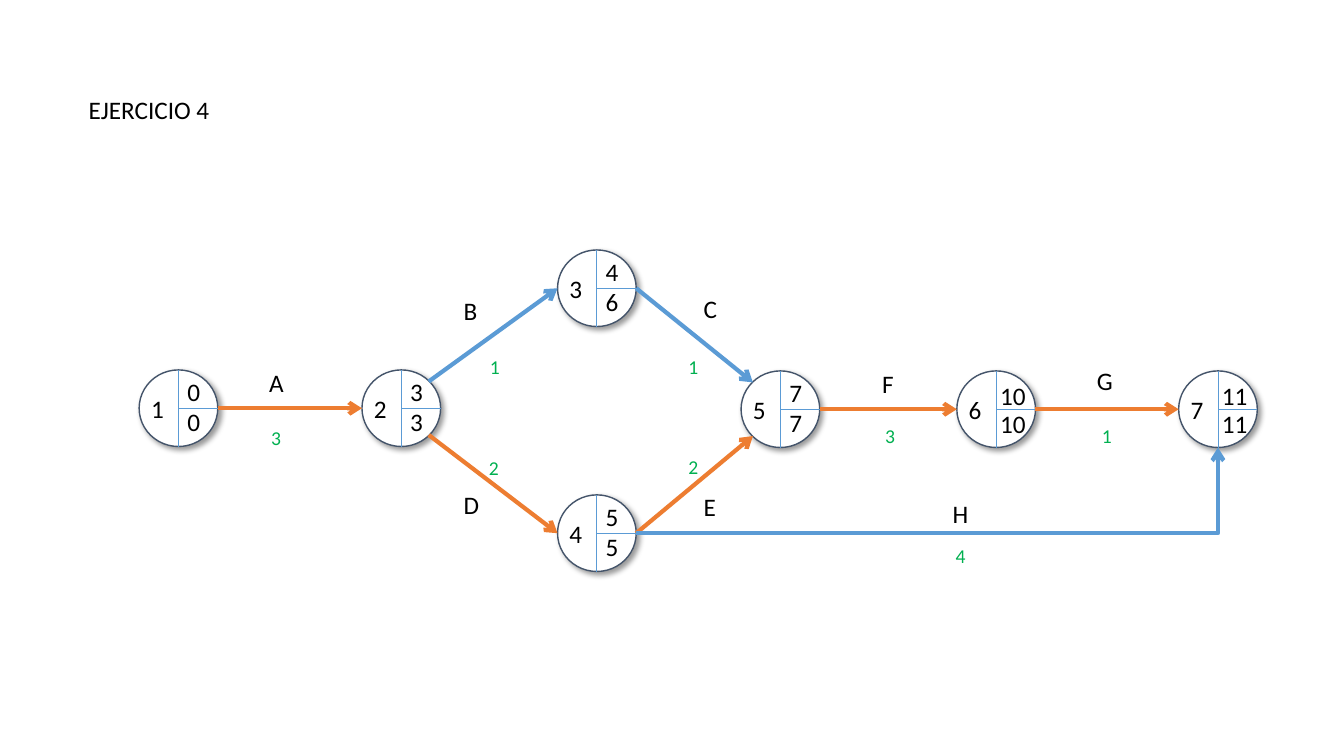
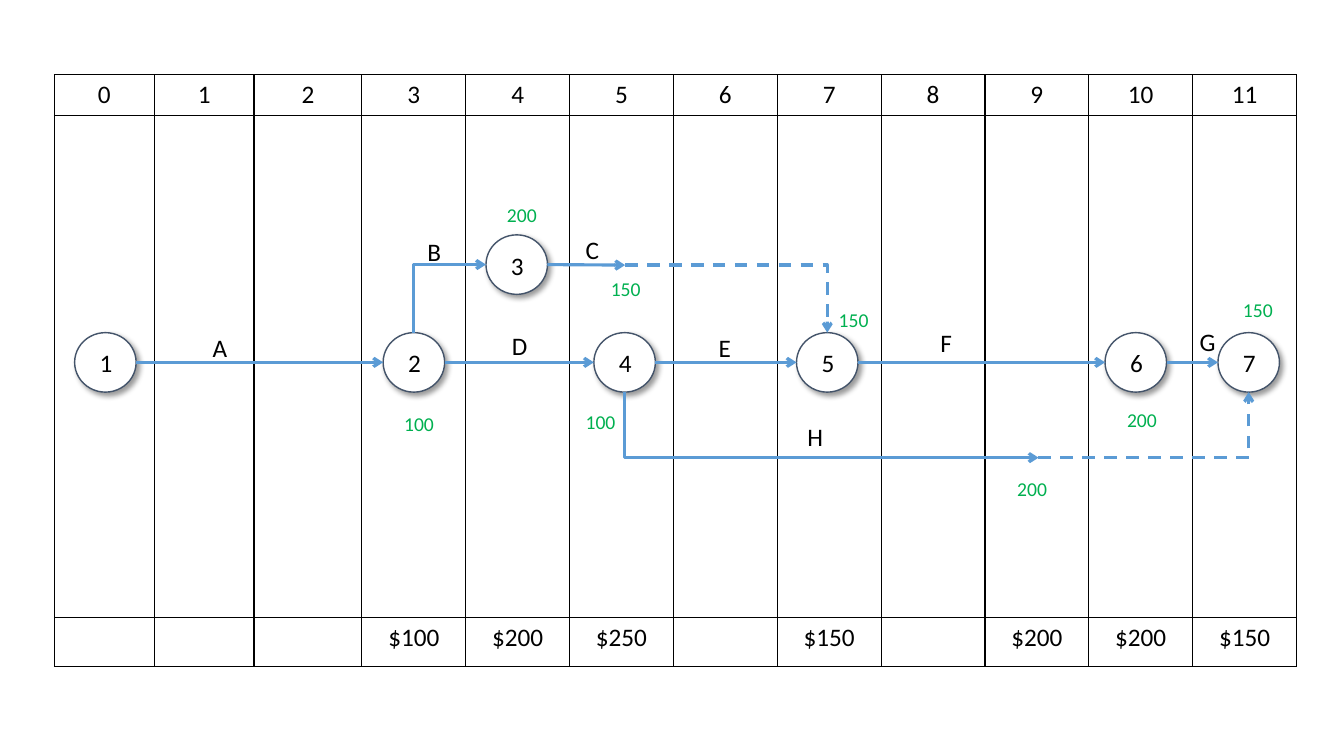
from lxml import etree
from pptx import Presentation
from pptx import util as u
from pptx.dml.color import RGBColor
from pptx.enum import dml, shapes, text
from pptx.oxml.ns import qn

COLORS = {"ink": "000000", "paper": "FFFFFF", "rim": "44546A",
          "blue": "5B9BD5", "critical": "ED7D31", "green": "00B050"}
FONT = "Calibri"
LETTER_EM = dict(A=.58, B=.54, C=.53, D=.62, E=.49, F=.46, G=.63, H=.62)
DIGIT_EM = .51
PORTS = {"left": (0, .5), "right": (1, .5), "top": (.5, 0), "bottom": (.5, 1),
         "ne": (.85, .15), "se": (.85, .85), "nw": (.15, .15), "sw": (.15, .85)}


def rgb(name):
    """Return a palette colour."""
    return RGBColor.from_string(COLORS[name])


def at(x, y):
    """Return a point given in inches."""
    return u.Inches(x), u.Inches(y)


def port(node, name):
    """Return the point on a node's rim where an arrow attaches."""
    across, down = PORTS[name]
    return (node.left + int(node.width * across),
            node.top + int(node.height * down))


def add_child(parent, tag, **attributes):
    """Append a DrawingML element and return it."""
    return etree.SubElement(parent, qn(tag), attributes)


class Diagram:
    """Shared network style and the slide being drawn."""

    def __init__(self, deck):
        self.deck = deck
        self.page = None

    def new_page(self):
        """Start a blank slide."""
        self.page = self.deck.slides.add_slide(self.deck.slide_layouts[6])

    def add_span(self, para, words, size=18, color="ink"):
        """Add one styled run to a paragraph."""
        span = para.add_run()
        span.text = words
        span.font.name = FONT
        span.font.size = u.Pt(size)
        span.font.color.rgb = rgb(color)

    def label(self, words, x, y, size=18, color="ink", width=None):
        """Place a single line of text, sized to its letters."""
        ems = sum(LETTER_EM.get(letter, DIGIT_EM) for letter in words)
        width = width or .2 + ems * size / 72
        box = self.page.shapes.add_textbox(
            *at(x, y), *at(width, .1 + size * 1.2 / 72))
        box.text_frame.word_wrap = False
        box.text_frame.auto_size = text.MSO_AUTO_SIZE.SHAPE_TO_FIT_TEXT
        self.add_span(box.text_frame.paragraphs[0], words, size, color)

    def labels(self, entries, **style):
        """Place several labels in one style."""
        for words, x, y in entries:
            self.label(words, x, y, **style)

    def circle(self, x, y, width, height):
        """Draw a white node with a soft shadow."""
        node = self.page.shapes.add_shape(
            shapes.MSO_SHAPE.OVAL, *at(x, y), *at(width, height))
        node.fill.solid()
        node.fill.fore_color.rgb = rgb("paper")
        node.line.color.rgb = rgb("rim")
        node.line.width = u.Pt(1)
        node.shadow.inherit = False
        effects = node._element.spPr.find(qn("a:effectLst"))
        shadow = add_child(effects, "a:outerShdw", blurRad=str(u.Pt(4)),
                           dist=str(u.Pt(3)), dir="2700000", algn="tl",
                           rotWithShape="0")
        shade = add_child(shadow, "a:srgbClr", val=COLORS["ink"])
        add_child(shade, "a:alpha", val="40000")
        return node

    def line(self, start, end, width, color="blue", arrow=False,
             dashed=False):
        """Draw a straight line between two points."""
        link = self.page.shapes.add_connector(
            shapes.MSO_CONNECTOR.STRAIGHT, *start, *end)
        link.line.color.rgb = rgb(color)
        link.line.width = u.Pt(width)
        if dashed:
            link.line.dash_style = dml.MSO_LINE.DASH
        frame = link._element.spPr
        if arrow:
            add_child(frame.find(qn("a:ln")), "a:tailEnd", type="arrow")
        add_child(frame, "a:effectLst")
        return link

    def elbow(self, start, end, width, upright=False, dashed=False):
        """Draw a one-corner arrow to the right; upright leaves vertically."""
        (x1, y1), (x2, y2) = start, end
        rising = y2 < y1
        if upright:
            middle_x, middle_y = (x1 + x2) // 2, (y1 + y2) // 2
            half_w = abs(y2 - y1) // 2
            half_h = (x2 - x1) // 2 * (1 if rising else -1)
            start = middle_x + half_w, middle_y + half_h
            end = middle_x - half_w, middle_y - half_h
        link = self.line(start, end, width, arrow=True, dashed=dashed)
        frame = link._element.spPr
        frame.find(qn("a:prstGeom")).set("prst", "bentConnector2")
        if upright:
            turn = 90 if rising else 270
            frame.find(qn("a:xfrm")).set("rot", str(turn * 60000))

    def event(self, number, x, y, early, late):
        """Draw a node split into number, early time and late time."""
        node = self.circle(x, y, .78, .76)
        self.line(port(node, "top"), port(node, "bottom"), .5)
        self.line(port(node, "right"), at(x + .39, y + .38), .5)
        self.label(number, x + .02, y + .18)
        wide = len(early) > 1
        left = x + (.33 if wide else .38)
        self.label(early, left, y + (.04 if wide else .01))
        self.label(late, left, y + (.32 if wide else .31))
        return node

    def milestone(self, number, x, y):
        """Draw a small numbered node."""
        node = self.circle(x, y, .61, .59)
        self.label(number, x + .15, y + .1)
        return node

    def table(self, x, y, widths, heights, rows):
        """Draw a clear table with thin black borders."""
        frame = self.page.shapes.add_table(
            len(heights), len(widths), *at(x, y),
            *at(sum(widths), sum(heights)))
        grid = frame.table
        grid.first_row = grid.horz_banding = False
        for column, width in zip(grid.columns, widths):
            column.width = u.Inches(width)
        for row, height in zip(grid.rows, heights):
            row.height = u.Inches(height)
        for row, values in zip(grid.rows, rows):
            for cell, value in zip(row.cells, values):
                self.border(cell)
                cell.fill.background()
                para = cell.text_frame.paragraphs[0]
                para.alignment = text.PP_ALIGN.CENTER
                if value:
                    self.add_span(para, value)

    def border(self, cell):
        """Give a cell four black edges."""
        properties = cell._tc.get_or_add_tcPr()
        for side in "LRTB":
            edge = add_child(properties, f"a:ln{side}", w=str(u.Pt(1)))
            paint = add_child(edge, "a:solidFill")
            add_child(paint, "a:srgbClr", val=COLORS["ink"])


def draw_network(diagram):
    """Draw the activity network with its critical route."""
    diagram.new_page()
    diagram.label("EJERCICIO 4", .78, .89, width=1.41)
    events = [("1", 1.38, 3.67, "0", "0"), ("2", 3.59, 3.67, "3", "3"),
              ("3", 5.53, 2.48, "4", "6"), ("4", 5.53, 4.91, "5", "5"),
              ("5", 7.35, 3.68, "7", "7"), ("6", 9.49, 3.68, "10", "10"),
              ("7", 11.69, 3.68, "11", "11")]
    nodes = {event[0]: diagram.event(*event) for event in events}
    links = [("1", "right", "2", "left", "critical"),
             ("2", "ne", "3", "left", "blue"),
             ("2", "se", "4", "left", "critical"),
             ("4", "right", "5", "sw", "critical"),
             ("3", "right", "5", "nw", "blue"),
             ("5", "right", "6", "left", "critical"),
             ("6", "right", "7", "left", "critical")]
    for origin, leave, target, enter, color in links:
        diagram.line(port(nodes[origin], leave), port(nodes[target], enter),
                     3, color, arrow=True)
    diagram.elbow(port(nodes["4"], "right"), port(nodes["7"], "bottom"), 3)
    diagram.labels([("A", 2.57, 3.59), ("B", 4.5, 2.88), ("C", 6.88, 2.86),
                    ("D", 4.5, 4.81), ("E", 6.88, 4.83), ("F", 8.65, 3.6),
                    ("G", 10.78, 3.58), ("H", 9.35, 4.89)])
    diagram.labels([("3", 2.59, 4.18), ("2", 4.75, 4.47), ("1", 4.76, 3.47),
                    ("1", 6.73, 3.47), ("2", 6.73, 4.46), ("4", 9.38, 5.35),
                    ("3", 8.68, 4.16), ("1", 10.83, 4.16)],
                   size=14, color="green")


def draw_schedule(diagram):
    """Draw the activities on a time grid with the cost per period."""
    diagram.new_page()
    costs = {3: "$100", 4: "$200", 5: "$250", 7: "$150",
             9: "$200", 10: "$200", 11: "$150"}
    periods = range(12)
    diagram.table(.54, .74, [.99, .99, 1.07] + [1.03] * 9, [.4, 4.98, .49],
                  [[str(period) for period in periods],
                   [""] * len(periods),
                   [costs.get(period, "") for period in periods]])
    lefts = [.74, 3.8, 4.82, 5.89, 7.9, 10.96, 12.08]
    nodes = {number: diagram.milestone(str(number), x,
                                       2.33 if number == 3 else 3.3)
             for number, x in enumerate(lefts, 1)}
    main_route = [1, 2, 4, 5, 6, 7]
    for origin, target in zip(main_route, main_route[1:]):
        diagram.line(port(nodes[origin], "right"),
                     port(nodes[target], "left"), 2.25, arrow=True)
    end_c, end_h = at(6.2, 2.63), at(10.3, 4.54)
    diagram.elbow(port(nodes[2], "top"), port(nodes[3], "left"), 2.25,
                  upright=True)
    diagram.line(port(nodes[3], "right"), end_c, 2.25, arrow=True)
    diagram.elbow(end_c, port(nodes[5], "top"), 2.25, dashed=True)
    diagram.elbow(port(nodes[4], "bottom"), end_h, 2.25, upright=True)
    diagram.elbow(end_h, port(nodes[7], "bottom"), 2.25, dashed=True)
    diagram.labels([("A", 2.01, 3.25), ("B", 4.14, 2.3), ("C", 5.71, 2.28),
                    ("D", 4.98, 3.23), ("E", 7.03, 3.25), ("F", 9.23, 3.2),
                    ("G", 11.8, 3.19), ("H", 7.91, 4.13)])
    diagram.labels([("100", 3.91, 4.04), ("200", 4.93, 1.96),
                    ("150", 5.96, 2.7), ("150", 8.22, 3.01),
                    ("100", 5.71, 4.02), ("150", 12.23, 2.91),
                    ("200", 9.99, 4.68), ("200", 11.08, 4)],
                   size=14, color="green")


deck = Presentation()
deck.slide_width, deck.slide_height = at(13.33, 7.5)
diagram = Diagram(deck)
draw_network(diagram)
draw_schedule(diagram)
deck.save("out.pptx")
